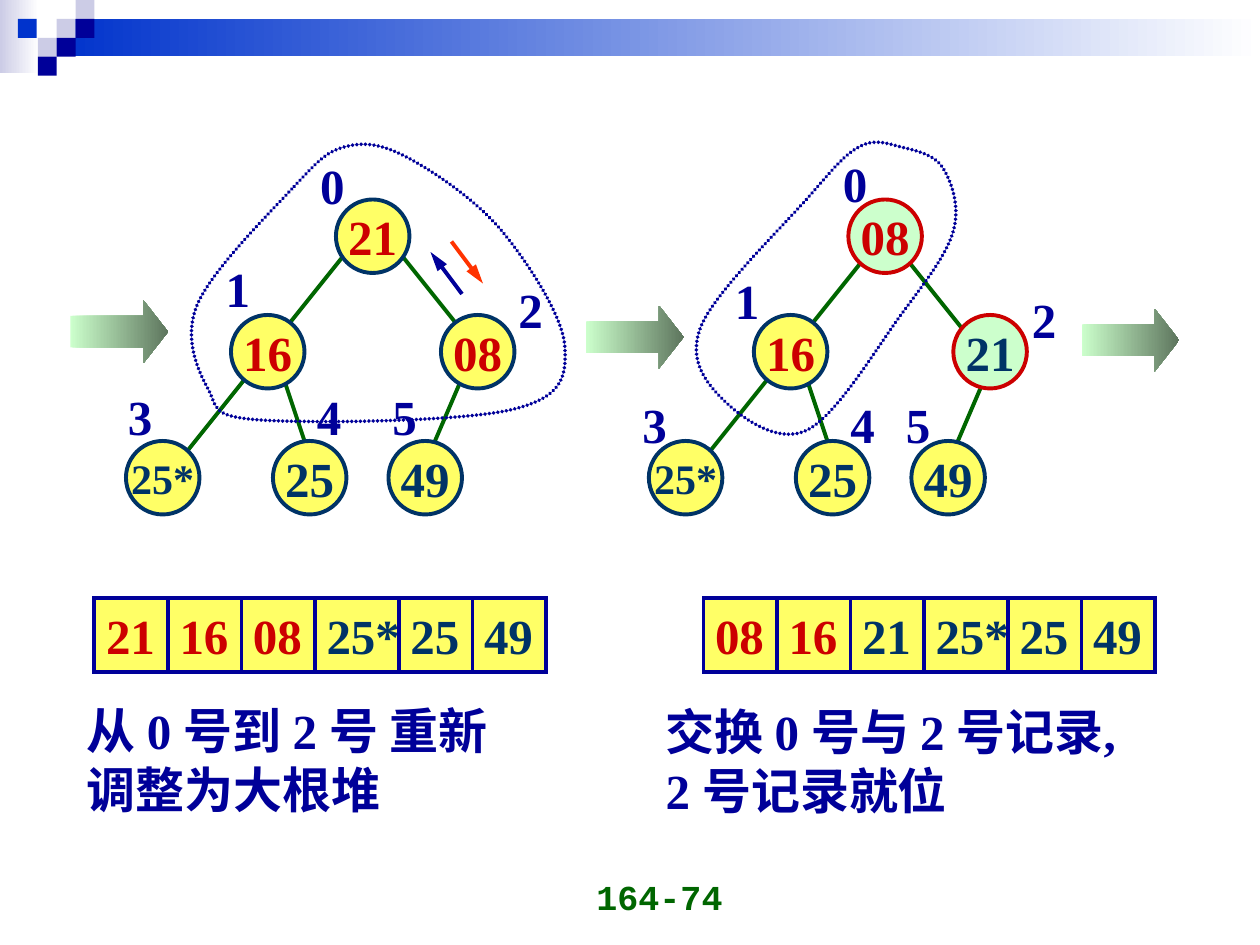
from dataclasses import dataclass

from lxml.etree import SubElement
from pptx import Presentation
from pptx.dml.color import RGBColor as RGB
from pptx.enum.shapes import MSO_CONNECTOR as LINK, MSO_SHAPE as SHAPE
from pptx.enum.text import MSO_ANCHOR as ANCHOR, MSO_AUTO_SIZE as FIT, PP_ALIGN as ALIGN
from pptx.oxml.ns import qn
from pptx.util import Pt

PX = 7620  # 120 px to the inch


@dataclass(frozen=True)
class Theme:
    navy: str = "000099"
    blue: str = "0033CC"
    pale: str = "CCCCE6"
    white: str = "FFFFFF"
    ink: str = "003366"
    red: str = "CC0000"
    flame: str = "FF3300"
    green: str = "006600"
    mint: str = "CCFFCC"
    moss: str = "5E765E"
    yellow: str = "FFFF66"
    serif: str = "Times New Roman"
    mono: str = "Courier New"
    body: int = 28
    small: int = 24
    page: int = 20
    stroke: float = 2.25


T = Theme()


def emu(*vals):
    return [round(v * PX) for v in vals]


def apply(item, form):
    for name, value in form.items():
        setattr(item, name, value)


def stroke(line, color):
    """Style a line and return its XML element."""
    line.color.rgb = RGB.from_string(color)
    line.width = Pt(T.stroke)
    return line._get_or_add_ln()


def write(par, text, color, size=T.body, font=T.serif):
    run = par.add_run()
    run.text = text
    apply(run.font, {"name": font, "size": Pt(size), "bold": True})
    run.font.color.rgb = RGB.from_string(color)


def block(slide, kind, box, fill, edge=None):
    """Add a preset shape; a pair of colours as fill makes a gradient."""
    shape = slide.shapes.add_shape(kind, *emu(*box))
    shape.shadow.inherit = False
    if isinstance(fill, tuple):
        shape.fill.gradient()
        shape.fill.gradient_angle = 0
        for stop, color in zip(shape.fill.gradient_stops, fill):
            stop.color.rgb = RGB.from_string(color)
    else:
        shape.fill.solid()
        shape.fill.fore_color.rgb = RGB.from_string(fill)
    if edge:
        SubElement(stroke(shape.line, edge), qn("a:miter"), lim="800000")
    else:
        shape.line.fill.background()
    return shape


def link(slide, x1, y1, x2, y2, color, head=False):
    line = slide.shapes.add_connector(LINK.STRAIGHT, *emu(x1, y1, x2, y2))
    edge = stroke(line.line, color)
    if head:
        SubElement(edge, qn("a:tailEnd"), type="triangle", w="med", len="lg")
    SubElement(line._element.spPr, qn("a:effectLst"))


def note(slide, box, lines, form, color=T.navy, align=ALIGN.LEFT, **style):
    frame = slide.shapes.add_textbox(*emu(*box)).text_frame
    apply(frame, form)
    for i, text in enumerate(lines):
        par = frame.add_paragraph() if i else frame.paragraphs[0]
        par.alignment = align
        write(par, text, color, **style)


def banner(slide, x, y):
    block(slide, SHAPE.RECTANGLE, (x, y, 37, 70), (T.pale, T.white))
    block(slide, SHAPE.RECTANGLE, (x + 54, y + 18, 1146, 35), (T.blue, T.white))
    tiles = [(54, 18, T.pale), (72, 0, T.pale), (72, 18, T.navy), (36, 36, T.pale),
             (17, 18, T.blue), (54, 36, T.navy), (36, 54, T.navy)]
    for dx, dy, color in tiles:
        block(slide, SHAPE.RECTANGLE, (x + dx, y + dy, 18, 18), color)


def tree(slide, x, y, keys, marks, done=(), shift=0):
    """Draw a heap; done holds swapped nodes, shift moves the root and its right child."""
    edges = [(320, 170, 290, 240), (150, 170, 170, 230),
             (260 + 2 * shift, 50, 340 + 2 * shift, 150), (210, 50, 50, 250)]
    for x1, y1, x2, y2 in edges:
        link(slide, x + x1, y + y1, x + x2, y + y2, T.green)
    spots = [(200 + shift, 0), (100, 110), (300 + shift, 110), (0, 230), (140, 230), (250, 230)]
    for i, ((dx, dy), (key, color)) in enumerate(zip(spots, keys)):
        fill, edge = (T.mint, T.red) if i in done else (T.yellow, T.ink)
        frame = block(slide, SHAPE.OVAL, (x + dx, y + dy, 70, 70), fill, edge).text_frame
        apply(frame, {"word_wrap": False, "vertical_anchor": ANCHOR.MIDDLE})
        frame.paragraphs[0].alignment = ALIGN.CENTER
        write(frame.paragraphs[0], key, color, T.body if len(key) < 3 else T.small)
    for i, (dx, dy) in enumerate(marks):
        note(slide, (x + dx, y + dy, 47, 68), [str(i)],
             {"word_wrap": False, "auto_size": FIT.SHAPE_TO_FIT_TEXT})


def loop(slide, x, y, knots):
    """Draw a dotted closed curve that runs smoothly through the knots."""
    count = len(knots)
    points = [knots[0]]
    for i in range(count):
        a, b, c, d = (knots[(i + k) % count] for k in (-1, 0, 1, 2))
        points += [[q + (r - p) / 6 for p, q, r in zip(a, b, c)],
                   [r - (s - q) / 6 for q, r, s in zip(b, c, d)], c]
    start, *rest = [emu(x + dx, y + dy) for dx, dy in points]
    outline = slide.shapes.build_freeform(*start)
    outline.add_line_segments(rest, close=True)
    shape = outline.convert_to_shape()
    steps = list(shape._element.iter(qn("a:lnTo")))
    for i in range(0, len(steps), 3):
        curve = steps[i]
        curve.tag = qn("a:cubicBezTo")
        for step in steps[i + 1:i + 3]:
            curve.append(step[0])
            step.getparent().remove(step)
    shape.shadow.inherit = False
    shape.fill.background()
    edge = stroke(shape.line, T.navy)
    edge.set("cap", "rnd")
    SubElement(SubElement(edge, qn("a:custDash")), qn("a:ds"), d="100000", sp="10000")


def array(slide, x, y, keys, split):
    """Draw the record array; the first split keys are red."""
    high, pad = 70, 11
    cuts = [70, 140, 210, 290, 360]
    frame = block(slide, SHAPE.RECTANGLE, (x, y, 430, high), T.yellow, T.navy).text_frame
    apply(frame, {"word_wrap": True, "vertical_anchor": ANCHOR.MIDDLE,
                  "margin_left": pad * PX, "margin_right": 0})
    par = frame.paragraphs[0]
    par.alignment = ALIGN.LEFT
    tabs = SubElement(par._p.get_or_add_pPr(), qn("a:tabLst"))
    for cut in cuts:
        SubElement(tabs, qn("a:tab"), pos=str(cut * PX), algn="l")
        link(slide, x + cut, y, x + cut, y + high, T.navy)
    write(par, "\t".join(keys[:split]) + "\t", T.red)
    write(par, "\t".join(keys[split:]), T.ink)


def arrow(slide, x, y):
    shape = block(slide, SHAPE.RIGHT_ARROW, (x, y, 93, 60), (T.mint, T.moss))
    shape.adjustments[1] = 0.39


def swap(slide, x, y):
    link(slide, x + 30, y + 50, x, y + 10, T.navy, head=True)
    link(slide, x + 20, y, x + 50, y + 40, T.flame, head=True)


def main():
    deck = Presentation()
    deck.slide_width, deck.slide_height = emu(1200, 900)
    slide = deck.slides.add_slide(deck.slide_layouts[6])
    banner(slide, 0, 0)

    rest = [("25*", T.ink), ("25", T.ink), ("49", T.ink)]
    tree(slide, 120, 190, [("21", T.red), ("16", T.red), ("08", T.red)] + rest,
         [(173, -48), (83, 50), (362, 70), (-10, 172), (170, 172), (242, 172)])
    loop(slide, 120, 190, [(158, -10), (68, 100), (78, 180), (128, 210), (368, 200),
                           (418, 140), (358, 30), (268, -40), (208, -50)])
    swap(slide, 410, 230)
    tree(slide, 618, 190, [("08", T.red), ("16", T.red), ("21", T.ink)] + rest,
         [(173, -50), (70, 62), (353, 80), (-18, 180), (180, 180), (233, 180)],
         done=(0, 2), shift=-10)
    loop(slide, 618, 190, [(150, 0), (50, 120), (70, 190), (150, 220), (240, 110),
                           (290, 30), (280, -30), (240, -50), (200, -50)])

    for x, y in [(67, 286), (558, 291), (1030, 294)]:
        arrow(slide, x, y)
    array(slide, 90, 570, ["21", "16", "08", "25*", "25", "49"], 3)
    array(slide, 670, 570, ["08", "16", "21", "25*", "25", "49"], 2)

    wrap = {"word_wrap": True}
    note(slide, (71, 661, 488, 125), ["从 0 号到 2 号 重新", "调整为大根堆"], wrap)
    note(slide, (622, 662, 534, 125), ["交换 0 号与 2 号记录,", "2 号记录就位"], wrap)
    note(slide, (420, 820, 280, 60), ["164-74"], {**wrap, "vertical_anchor": ANCHOR.BOTTOM},
         T.green, ALIGN.RIGHT, size=T.page, font=T.mono)
    deck.save("out.pptx")


if __name__ == "__main__":
    main()
